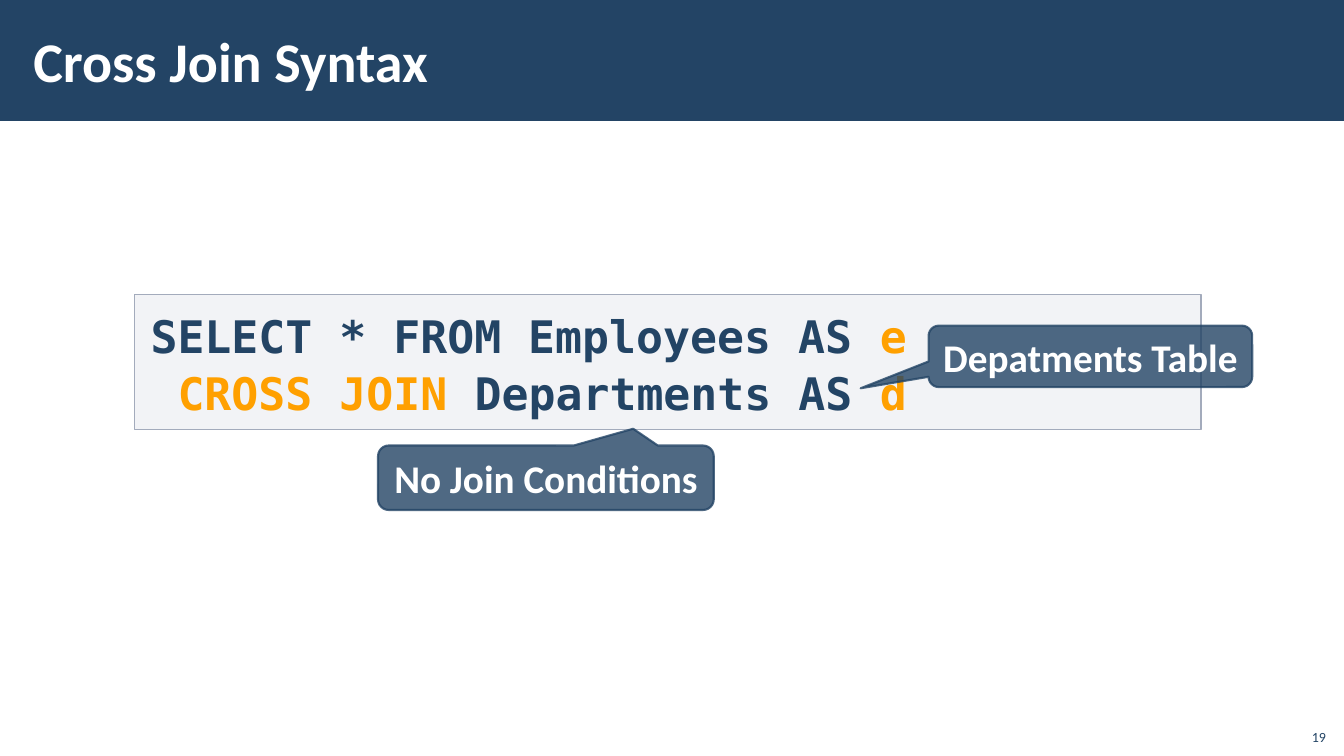
from dataclasses import dataclass

from lxml import etree
from pptx import Presentation, util as u
from pptx.dml.color import RGBColor
from pptx.enum import shapes, text
from pptx.oxml import ns


@dataclass(frozen=True)
class Theme:
    navy: str = "234465"
    amber: str = "FFA000"
    white: str = "FFFFFF"
    mist: str = "C2C7D2"
    edge: str = "A3ABBC"
    sans: str = "Calibri"
    mono: str = "DejaVu Sans Mono"
    head: int = 40
    code: int = 32
    note: int = 28
    page: int = 10


def write(shape, lines, font, size, bold=True, align=text.PP_ALIGN.LEFT,
          anchor=text.MSO_ANCHOR.MIDDLE, inset=(0.1, 0.05), space=1.0):
    """Fill a shape with lines, each a list of (words, colour) runs."""
    frame = shape.text_frame
    frame.word_wrap = True
    frame.auto_size = text.MSO_AUTO_SIZE.NONE
    frame.vertical_anchor = anchor
    frame.margin_left = frame.margin_right = u.Inches(inset[0])
    frame.margin_top = frame.margin_bottom = u.Inches(inset[1])
    for i, line in enumerate(lines):
        para = frame.add_paragraph() if i else frame.paragraphs[0]
        para.alignment = align
        para.line_spacing = space
        for words, color in line:
            run = para.add_run()
            run.text = words
            run.font.name = font
            run.font.size = u.Pt(size)
            run.font.bold = bold
            run.font.color.rgb = RGBColor.from_string(color)


def paint(fill, color, alpha=100):
    """Set a solid colour with its opacity in percent."""
    fill.solid()
    fill.fore_color.rgb = RGBColor.from_string(color)
    if alpha < 100:
        tone = next(fill._xPr.iter(ns.qn("a:srgbClr")))
        etree.SubElement(tone, ns.qn("a:alpha")).set("val", str(alpha * 1000))


class Deck:
    """Draws on one slide, with boxes given in percent of its size."""

    def __init__(self, theme):
        self.theme = theme
        self.show = Presentation()
        self.show.slide_width = u.Inches(13.33)
        self.show.slide_height = u.Inches(7.5)
        self.slide = self.show.slides.add_slide(self.show.slide_layouts[6])

    def place(self, box):
        """Turn a percent box into slide lengths."""
        wide, high = self.show.slide_width, self.show.slide_height
        return [int(part * side / 100) for part, side in zip(box, (wide, high) * 2)]

    def shape(self, kind, box, fill, alpha=100, line=None, width=1, clear=100):
        """Add a filled preset shape."""
        item = self.slide.shapes.add_shape(kind, *self.place(box))
        item.shadow.inherit = False
        paint(item.fill, fill, alpha)
        if line:
            item.line.width = u.Pt(width)
            paint(item.line.fill, line, clear)
        else:
            item.line.fill.background()
        return item

    def label(self, box, words, color, size, **style):
        """Add a text box with one line."""
        item = self.slide.shapes.add_textbox(*self.place(box))
        write(item, [[(words, color)]], self.theme.sans, size, **style)

    def code(self, box, lines):
        """Add a framed code panel."""
        look = self.theme
        item = self.shape(shapes.MSO_SHAPE.RECTANGLE, box, look.mist, 20, look.edge)
        write(item, lines, look.mono, look.code, anchor=text.MSO_ANCHOR.TOP,
              inset=(0.16, 0.12), space=1.05)

    def callout(self, box, tip, words):
        """Add a see-through callout whose tail ends at the tip."""
        look = self.theme
        item = self.shape(shapes.MSO_SHAPE.ROUNDED_RECTANGULAR_CALLOUT, box,
                          look.navy, 80, look.navy, 1.5, 80)
        item.adjustments[0], item.adjustments[1] = tip
        write(item, [[(words, look.white)]], look.sans, look.note,
              align=text.PP_ALIGN.CENTER)


def main():
    """Build and save the slide."""
    look = Theme()
    deck = Deck(look)
    deck.shape(shapes.MSO_SHAPE.RECTANGLE, (0, 0, 100, 16), look.navy)
    deck.code((10, 38.93, 79.37, 17.87), [
        [("SELECT * FROM Employees AS ", look.navy), ("e", look.amber)],
        [(" ", look.navy), ("CROSS JOIN ", look.amber),
         ("Departments AS ", look.navy), ("d", look.amber)],
    ])
    deck.label((1.58, 1.47, 79.74, 12.93), "Cross Join Syntax", look.white,
               look.head, inset=(0.12, 0.04))
    deck.callout((69.09, 43.07, 24.08, 8.13), (-0.71, 0.52), "Depatments Table")
    deck.callout((28.13, 58.93, 24.98, 8.53), (0.26, -0.76), "No Join Conditions")
    deck.label((96.4, 94.93, 3, 4.27), "19", look.navy, look.page, bold=False,
               align=text.PP_ALIGN.RIGHT, anchor=text.MSO_ANCHOR.BOTTOM)
    deck.show.save("out.pptx")


if __name__ == "__main__":
    main()
